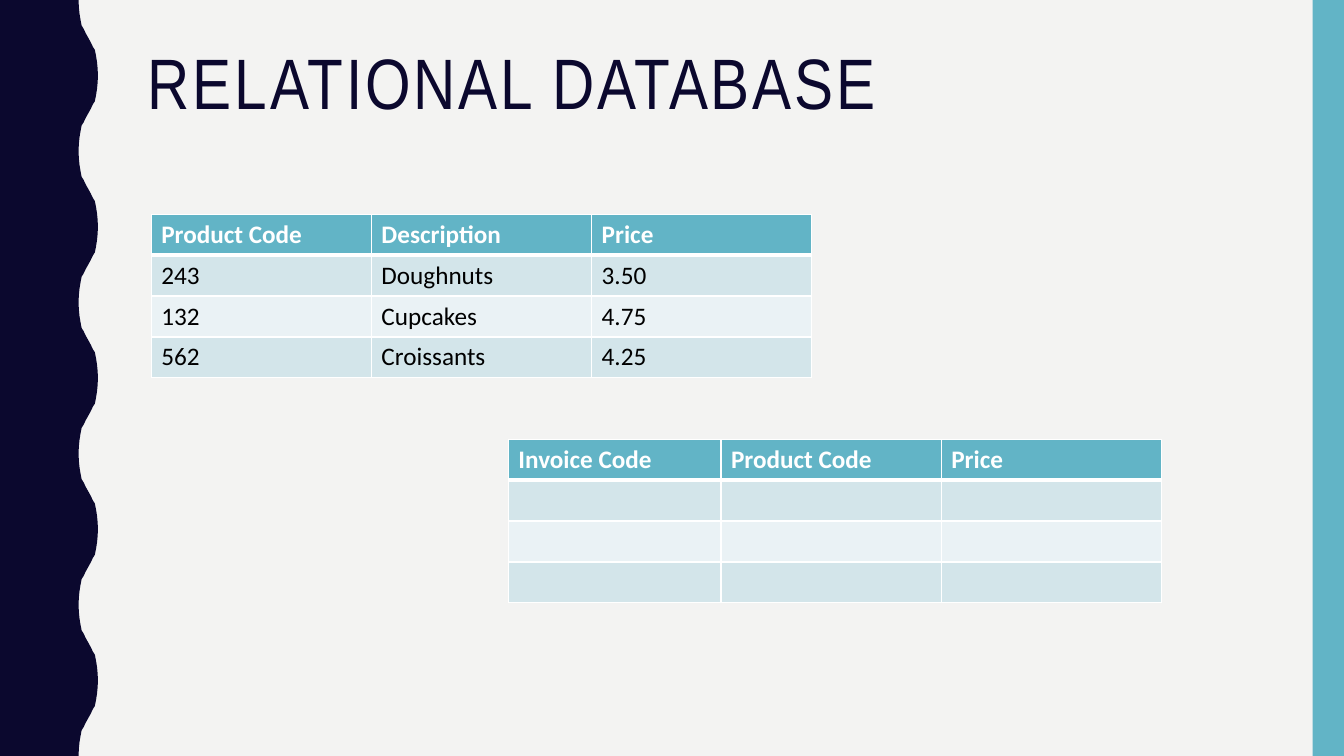
from pptx import Presentation
from pptx.dml.color import RGBColor
from pptx.enum.shapes import MSO_SHAPE
from pptx.enum.text import MSO_ANCHOR
from pptx.oxml import parse_xml
from pptx.oxml.ns import nsdecls
from pptx.util import Cm, Pt

PAPER = RGBColor(0xF3, 0xF3, 0xF2)
NAVY = RGBColor(0x0B, 0x08, 0x2E)
TEAL = RGBColor(0x62, 0xB4, 0xC6)
BAND_DARK = RGBColor(0xD3, 0xE5, 0xEA)
BAND_LIGHT = RGBColor(0xEA, 0xF2, 0xF5)
WHITE = RGBColor(0xFF, 0xFF, 0xFF)
BLACK = RGBColor(0, 0, 0)

SLIDE_WIDTH, SLIDE_HEIGHT = Cm(33.87), Cm(19.05)
ROW_HEIGHT = Cm(1.03)

# Trough to crest of one wave: (share of depth, share of wave length)
RISE = [(0, 0), (0.02, 0.05), (0.05, 0.09), (0.1, 0.13), (0.16, 0.17),
        (0.26, 0.19), (0.37, 0.22), (0.5, 0.25), (0.63, 0.28), (0.74, 0.31),
        (0.84, 0.33), (0.9, 0.37), (0.95, 0.41), (0.98, 0.45), (1, 0.5)]
WAVE = RISE + [(depth, 1 - along) for depth, along in reversed(RISE[:-1])]


def write_text(frame, text, font="Calibri", size=18, color=BLACK, bold=False,
               line_spacing=None, letter_spacing=None):
    paragraph = frame.paragraphs[0]
    paragraph.line_spacing = line_spacing
    run = paragraph.add_run()
    run.text = text
    run.font.name, run.font.size, run.font.bold = font, Pt(size), bold
    run.font.color.rgb = color
    if letter_spacing:
        run.font._element.set("spc", str(letter_spacing * 100))


def paint(shape, color):
    shape.shadow.inherit = False
    shape.fill.solid()
    shape.fill.fore_color.rgb = color
    shape.line.fill.background()


def add_wavy_edge(slide, left, top, width, height, waves=5):
    depth = Cm(0.49)
    trough = left + width - depth
    wave_length = height / waves
    edge = [(trough + depth * x, top + wave_length * (wave + y))
            for wave in range(waves) for x, y in WAVE]
    outline = slide.shapes.build_freeform(left, top)
    outline.add_line_segments(edge + [(left, top + height)], close=True)
    paint(outline.convert_to_shape(), NAVY)


def add_side_bar(slide, left, top, width, height):
    paint(slide.shapes.add_shape(MSO_SHAPE.RECTANGLE, left, top, width, height), TEAL)


def add_title(slide, text, left, top, width, height):
    frame = slide.shapes.add_textbox(left, top, width, height).text_frame
    frame.word_wrap = True
    frame.vertical_anchor = MSO_ANCHOR.TOP
    write_text(frame, text, font="Arial Narrow", size=51, color=NAVY,
               line_spacing=0.9, letter_spacing=2)


def add_borders(cell, row):
    # A thick rule divides the header from the body
    widths = {"L": 1, "R": 1, "T": 3 if row == 1 else 1, "B": 3 if row == 0 else 1}
    properties = cell._tc.get_or_add_tcPr()
    for side, width in widths.items():
        properties.append(parse_xml(
            f'<a:ln{side} {nsdecls("a")} w="{Pt(width)}"><a:solidFill>'
            f'<a:srgbClr val="{WHITE}"/></a:solidFill></a:ln{side}>'))


def add_data_table(slide, records, left, top, column_widths):
    table = slide.shapes.add_table(len(records), len(column_widths), left, top,
                                   sum(column_widths), ROW_HEIGHT * len(records)).table
    for column, width in zip(table.columns, column_widths):
        column.width = width
    for row, record in enumerate(records):
        table.rows[row].height = ROW_HEIGHT
        header = row == 0
        for column, value in enumerate(record):
            cell = table.cell(row, column)
            add_borders(cell, row)
            cell.fill.solid()
            cell.fill.fore_color.rgb = (
                TEAL if header else BAND_DARK if row % 2 else BAND_LIGHT)
            if value:
                write_text(cell.text_frame, value, bold=header,
                           color=WHITE if header else BLACK)


PRODUCTS = [("Product Code", "Description", "Price"),
            ("243", "Doughnuts", "3.50"),
            ("132", "Cupcakes", "4.75"),
            ("562", "Croissants", "4.25")]
INVOICES = [("Invoice Code", "Product Code", "Price")] + [("", "", "")] * 3

presentation = Presentation()
presentation.slide_width, presentation.slide_height = SLIDE_WIDTH, SLIDE_HEIGHT
slide = presentation.slides.add_slide(presentation.slide_layouts[6])
slide.background.fill.solid()
slide.background.fill.fore_color.rgb = PAPER

# Side decoration
add_wavy_edge(slide, 0, 0, Cm(2.47), SLIDE_HEIGHT)
bar_width = Cm(0.79)
add_side_bar(slide, SLIDE_WIDTH - bar_width, 0, bar_width, SLIDE_HEIGHT)

# Title and tables
add_title(slide, "RELATIONAL DATABASE", Cm(3.48), Cm(1.07), Cm(28.27), Cm(4.14))
add_data_table(slide, PRODUCTS, Cm(3.81), Cm(5.4), [Cm(5.55)] * 3)
add_data_table(slide, INVOICES, Cm(12.81), Cm(11.07), [Cm(5.36), Cm(5.55), Cm(5.55)])

presentation.save("out.pptx")
